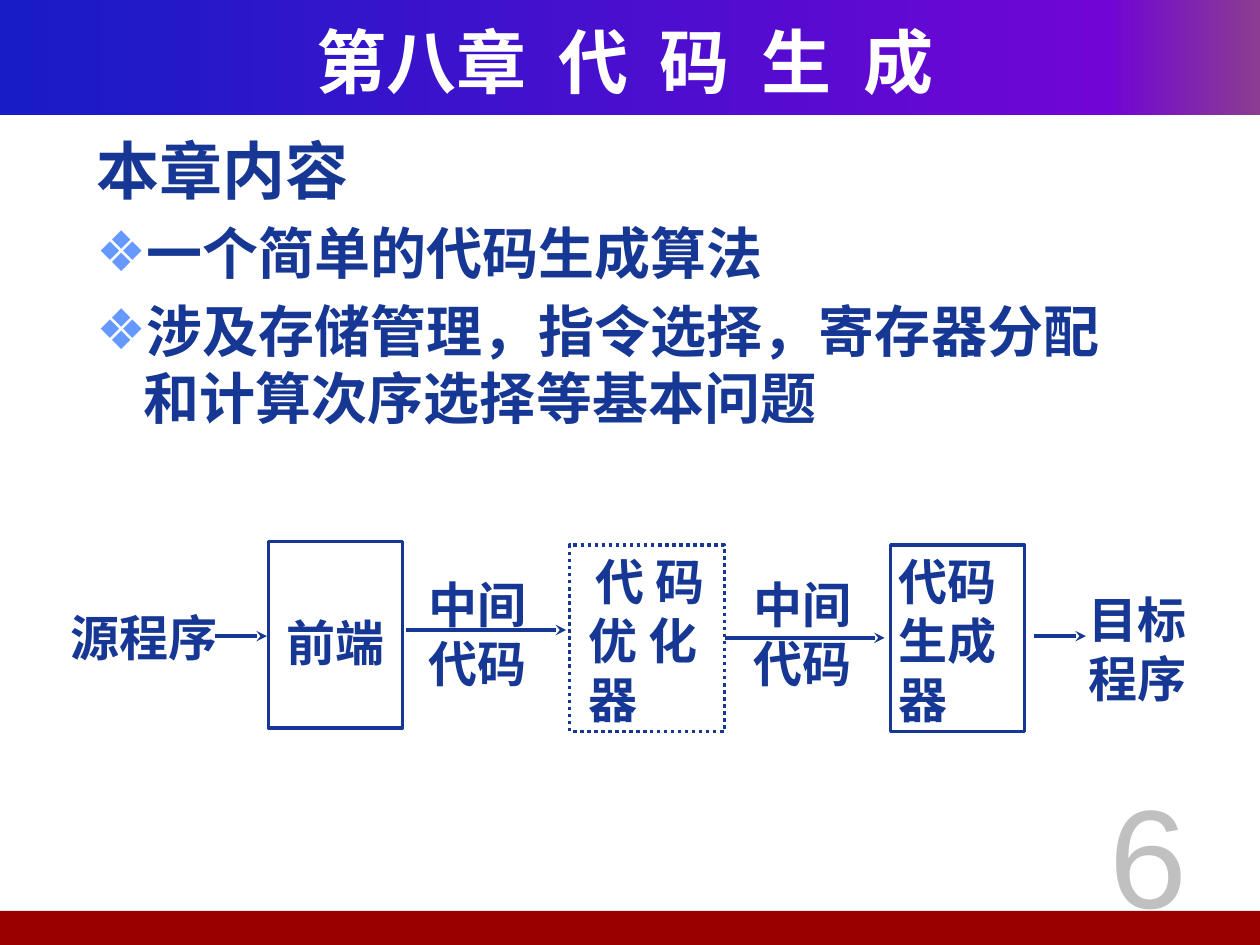
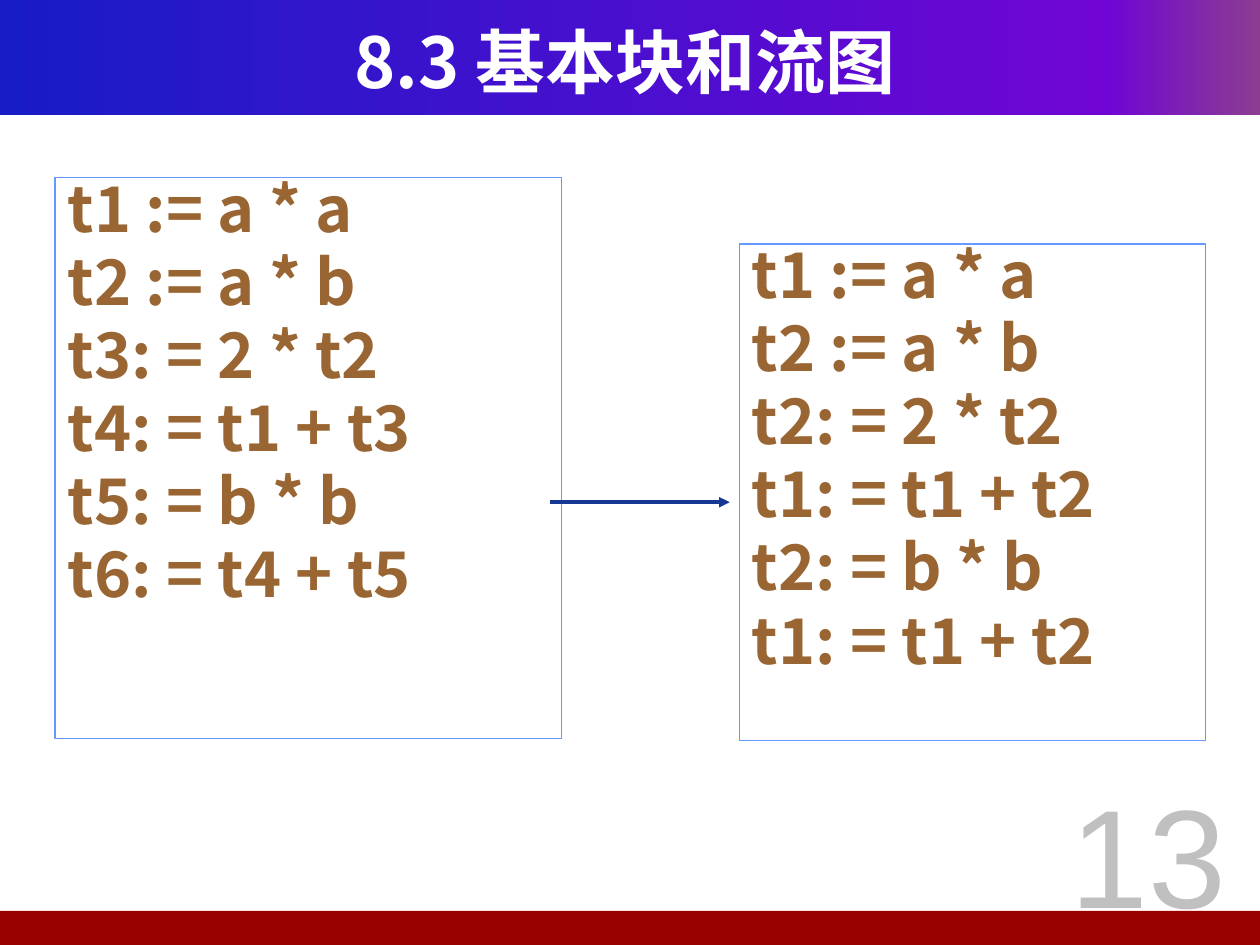
import copy
import dataclasses

import lxml.etree
import pptx
import pptx.dml.color
import pptx.enum.dml
import pptx.enum.shapes
import pptx.enum.text
import pptx.oxml.ns
import pptx.util

Pt = pptx.util.Pt
qn = pptx.oxml.ns.qn
ALIGN = pptx.enum.text.PP_ALIGN
ANCHOR = pptx.enum.text.MSO_ANCHOR
RECT = pptx.enum.shapes.MSO_SHAPE.RECTANGLE


@dataclasses.dataclass(frozen=True)
class Style:
    font: str
    size: int
    color: str
    bold: bool = True


@dataclasses.dataclass(frozen=True)
class Theme:
    cjk: str = "Noto Sans CJK SC"
    navy: str = "163794"
    sky: str = "6699FF"
    red: str = "990000"
    band: tuple = ((0, "181CC7"), (0.88, "7005D4"), (1, "8C3D91"))
    title: Style = Style("Noto Sans CJK SC", 40, "FFFFFF")
    heading: Style = Style("Noto Sans CJK SC", 36, "163794")
    item: Style = Style("Noto Sans CJK SC", 32, "163794")
    code: Style = Style("Noto Sans CJK SC", 36, "996633")
    stage: Style = Style("Times New Roman", 28, "163794")
    number: Style = Style("Arial", 80, "C0C0C0", False)


THEME = Theme()
WIDTH, HEIGHT = 720, 540
HANG = 27


def rgb(color):
    return pptx.dml.color.RGBColor.from_string(color)


def add_xml(parent, tag, **attrs):
    return lxml.etree.SubElement(parent, qn(tag), **attrs)


def set_font(p, style):
    p.font.name = style.font
    p.font.size = Pt(style.size)
    p.font.bold = style.bold
    p.font.color.rgb = rgb(style.color)
    add_xml(p._p.pPr.find(qn("a:defRPr")), "a:ea", typeface=THEME.cjk)


def set_list_format(p, first, style, bullet=None):
    pPr = p._p.get_or_add_pPr()
    pPr.set("marL", str(Pt(HANG)))
    pPr.set("indent", str(Pt(-HANG)))
    p.space_before = Pt(0 if first else style.size * 0.2)
    if bullet:
        add_xml(add_xml(pPr, "a:buClr"), "a:srgbClr", val=THEME.sky)
        add_xml(pPr, "a:buChar", char=bullet)
    else:
        add_xml(pPr, "a:buNone")


def place(sp, box):
    sp.left, sp.top, sp.width, sp.height = map(Pt, box)


def frame(sp, insets=(7.2, 3.6, 7.2, 3.6), anchor=ANCHOR.TOP):
    tf = sp.text_frame
    tf.word_wrap = True
    tf.auto_size = pptx.enum.text.MSO_AUTO_SIZE.NONE
    tf.vertical_anchor = anchor
    tf.margin_left, tf.margin_top, tf.margin_right, tf.margin_bottom = map(Pt, insets)
    return tf


def paragraphs(tf, lines):
    tf.text = "\n".join(lines)
    return tf.paragraphs


def outline(sp, color, width):
    sp.line.color.rgb = rgb(color)
    sp.line.width = Pt(width)


def add_rect(s, box):
    sp = s.shapes.add_shape(RECT, *map(Pt, box))
    sp.shadow.inherit = False
    return sp


def add_arrow(s, x, y, length, head):
    c = s.shapes.add_connector(
        pptx.enum.shapes.MSO_CONNECTOR.STRAIGHT, Pt(x), Pt(y), Pt(x + length), Pt(y))
    outline(c, THEME.navy, 2)
    add_xml(c.line._get_or_add_ln(), "a:tailEnd", type=head)
    add_xml(c.element.spPr, "a:effectLst")


def add_bands(prs, s):
    header = add_rect(s, (0, 0, WIDTH, 65.5))
    header.fill.gradient()
    header.fill.gradient_angle = 0
    stops = header.element.spPr.find(".//" + qn("a:gsLst"))
    stops.append(copy.deepcopy(stops[-1]))
    for stop, (position, color) in zip(header.fill.gradient_stops, THEME.band):
        stop.position = position
        stop.color.rgb = rgb(color)
    footer = add_rect(s, (-3, 520.5, WIDTH + 3, HEIGHT - 520.5))
    footer.fill.solid()
    footer.fill.fore_color.rgb = rgb(THEME.red)
    for band in (footer, header):
        band.line.fill.background()
        prs.slide_master.shapes.element.insert(2, band.element)


def add_slide(prs, title, number):
    s = prs.slides.add_slide(prs.slide_layouts[1])
    place(s.shapes.title, (24, 12, 666, 45))
    p = paragraphs(frame(s.shapes.title, anchor=ANCHOR.MIDDLE), [title])[0]
    p.alignment = ALIGN.CENTER
    set_font(p, THEME.title)
    sp = s.shapes.add_textbox(*map(Pt, (592.5, 434, 127.5, 102)))
    p = paragraphs(frame(sp, (7.2, 3.6, 7.2, 1), ANCHOR.BOTTOM), [number])[0]
    p.alignment = ALIGN.CENTER
    set_font(p, THEME.number)
    return s


def fill_contents(sp, box, heading, items):
    place(sp, box)
    for i, p in enumerate(paragraphs(frame(sp), [heading, *items])):
        style = THEME.item if i else THEME.heading
        set_list_format(p, i == 0, style, "❖" if i else None)
        set_font(p, style)


def fill_code(sp, box, lines):
    place(sp, box)
    outline(sp, THEME.sky, 0.75)
    for i, p in enumerate(paragraphs(frame(sp), lines)):
        p.line_spacing = 0.8
        set_list_format(p, i == 0, THEME.code)
        set_font(p, THEME.code)


def stage_text(sp, lines, insets, anchor=ANCHOR.TOP, centered=0):
    for i, p in enumerate(paragraphs(frame(sp, insets, anchor), lines)):
        p.alignment = ALIGN.CENTER if i < centered else ALIGN.LEFT
        set_font(p, THEME.stage)


def add_pipeline(s, left, top):
    box_h = 106.5
    stages = (
        (114.5, 0, 76.5, ["前端"], (7.2, 12, 7.2, 3.6), ANCHOR.MIDDLE, 1, False),
        (286.5, 2, 88.5, ["代 码", "优 化", "器"], (11, 3.6, 8, 0.7), ANCHOR.TOP, 1, True),
        (470, 2, 76.5, ["代码", "生成", "器"], (4.3, 3.6, 1.4, 0.7), ANCHOR.TOP, 0, False),
    )
    for x, y, w, lines, insets, anchor, centered, dotted in stages:
        sp = add_rect(s, (left + x, top + y, w, box_h))
        sp.fill.background()
        outline(sp, THEME.navy, 2)
        if dotted:
            sp.line.dash_style = pptx.enum.dml.MSO_LINE.ROUND_DOT
        stage_text(sp, lines, insets, anchor, centered)
    labels = (
        (0, 37, 96, ["源程序"]),
        (204.5, 18, 88, ["中间", "代码"]),
        (390, 18, 88, ["中间", "代码"]),
        (581.5, 26.5, 68, ["目标", "程序"]),
    )
    for x, y, w, lines in labels:
        sp = s.shapes.add_textbox(*map(Pt, (left + x, top + y, w, 61)))
        stage_text(sp, lines, (1.4, 0.7, 7.2, 3.6))
    for x, y, length in ((84, 54, 29.5), (193, 50.5, 91.5), (375, 55, 91.5), (552, 54, 29.5)):
        add_arrow(s, left + x, top + y, length, "stealth")


def build_chapter(prs):
    s = add_slide(prs, "第八章  代  码  生  成", "6")
    add_bands(prs, s)
    fill_contents(s.placeholders[1], (48, 71.5, 612, 216), "本章内容", [
        "一个简单的代码生成算法",
        "涉及存储管理，指令选择，寄存器分配和计算次序选择等基本问题",
    ])
    add_pipeline(s, 39, 309.5)


def build_blocks(prs):
    s = add_slide(prs, "8.3 基本块和流图", "13")
    fill_code(s.placeholders[1], (31.5, 101.5, 289.5, 320.5), [
        "t1 := a * a", "t2 := a * b", "t3: = 2 * t2",
        "t4: = t1 + t3", "t5: = b * b", "t6: = t4 + t5",
    ])
    add_arrow(s, 314.5, 287, 102.5, "triangle")
    fill_code(s.shapes.add_textbox(0, 0, 0, 0), (422.5, 139.5, 266.5, 283.5), [
        "t1 := a * a", "t2 := a * b", "t2: = 2 * t2",
        "t1: = t1 + t2", "t2: = b * b", "t1: = t1 + t2",
    ])


def main():
    prs = pptx.Presentation()
    prs.slide_width, prs.slide_height = Pt(WIDTH), Pt(HEIGHT)
    build_chapter(prs)
    build_blocks(prs)
    prs.save("out.pptx")


if __name__ == "__main__":
    main()
